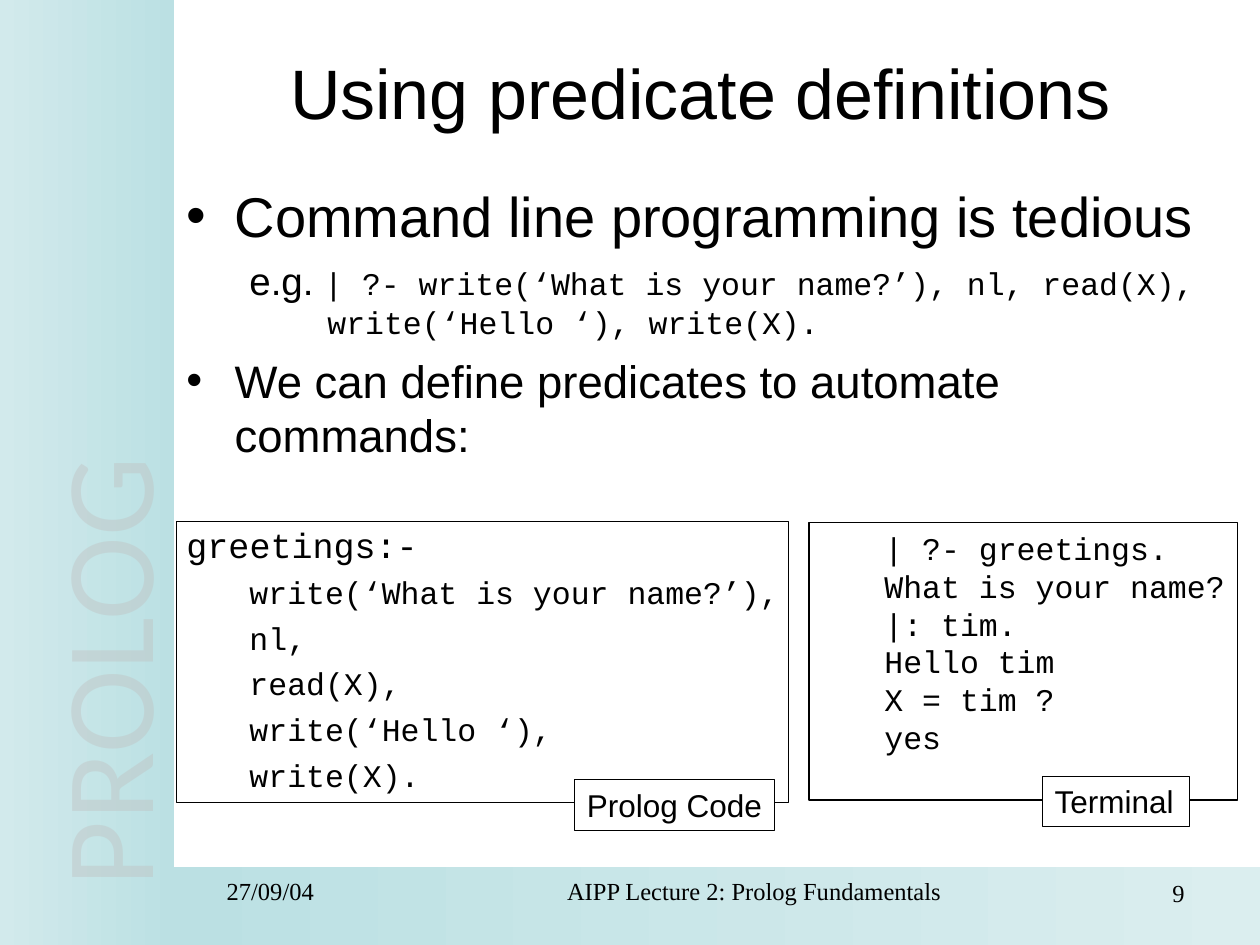
from dataclasses import dataclass

from lxml import etree
from pptx import Presentation
from pptx import util as u
from pptx.dml.color import RGBColor
from pptx.enum import shapes, text
from pptx.oxml.ns import qn


@dataclass(frozen=True)
class Theme:
    black: str = "000000"
    white: str = "FFFFFF"
    teal: str = "BBE0E3"
    side_light: str = "D2EAEC"
    foot_light: str = "DBEEEF"
    grey: str = "C0C0C0"
    sans: str = "Arial"
    mono: str = "Courier New"
    serif: str = "Times New Roman"
    banner: str = "Calibri"
    banner_size: int = 72
    title_size: int = 40
    head_size: int = 32
    point_size: int = 26
    lead_size: int = 22
    rule_size: int = 20
    code_size: int = 18
    foot_size: int = 14
    leading: float = 1.2


T = Theme()
ALIGN = text.PP_ALIGN


def place(box):
    return [u.Cm(v) for v in box]


def add_run(p, words, font, size, color=T.black):
    r = p.add_run()
    r.text = words
    r.font.name = font
    r.font.size = u.Pt(size)
    r.font.color.rgb = RGBColor.from_string(color)
    return r


def add_par(tf, runs, before=0, left=0, hang=0, bullet=False,
            align=ALIGN.LEFT, line=None):
    """Add a paragraph of (words, font, size) runs; indents are in cm."""
    p = tf.paragraphs[0]
    if p.runs:
        p = tf.add_paragraph()
    p.alignment = align
    p.space_before = u.Pt(before)
    p.line_spacing = u.Pt(line or round(runs[0][2] * T.leading, 1))
    pPr = p._p.get_or_add_pPr()
    pPr.set("marL", str(u.Cm(left)))
    pPr.set("indent", str(-u.Cm(hang)))
    if bullet:
        etree.SubElement(pPr, qn("a:buFont")).set("typeface", T.sans)
        etree.SubElement(pPr, qn("a:buChar")).set("char", "•")
    for run in runs:
        add_run(p, *run)
    return p


def add_text(s, box, wrap=True, anchor=text.MSO_ANCHOR.TOP):
    sp = s.shapes.add_textbox(*place(box))
    sp.text_frame.word_wrap = wrap
    sp.text_frame.vertical_anchor = anchor
    return sp


def add_rect(s, box):
    sp = s.shapes.add_shape(shapes.MSO_SHAPE.RECTANGLE, *place(box))
    sp.shadow.inherit = False
    return sp


def add_band(s, box, left_color, right_color):
    sp = add_rect(s, box)
    sp.line.fill.background()
    sp.fill.gradient()
    sp.fill.gradient_angle = 0
    for stop, color in zip(sp.fill.gradient_stops, (left_color, right_color)):
        stop.color.rgb = RGBColor.from_string(color)


def add_frame(s, box, lines=(), font=T.mono, left=0, fill=None):
    sp = add_rect(s, box)
    if fill:
        sp.fill.solid()
        sp.fill.fore_color.rgb = RGBColor.from_string(fill)
    else:
        sp.fill.background()
    sp.line.color.rgb = RGBColor.from_string(T.black)
    sp.line.width = u.Pt(0.75)
    tf = sp.text_frame
    tf.word_wrap = False
    tf.vertical_anchor = text.MSO_ANCHOR.TOP
    for words in lines:
        add_par(tf, [(words, font, T.code_size)], left=left)


def add_banner(s):
    sp = add_text(s, (-7.04, 8.05, 17.4, 2.72), wrap=False)
    sp.rotation = 270
    p = add_par(sp.text_frame, [("PROLOG", T.banner, T.banner_size)], line=90)
    color = p.runs[0].font.color
    color.rgb = RGBColor.from_string(T.grey)
    srgb = p._p.find(".//" + qn("a:srgbClr"))
    etree.SubElement(srgb, qn("a:alpha")).set("val", "42000")


def add_body(s):
    tf = add_text(s, (3.51, 3.53, 21.21, 13.92)).text_frame
    add_par(tf, [("Command line programming is tedious", T.sans, T.head_size)],
            left=0.97, hang=0.97, bullet=True)
    add_par(tf, [("e.g. ", T.sans, T.lead_size),
                 ("| ?- write(‘What is your name?’), nl, read(X), "
                  "write(‘Hello ‘), write(X).", T.mono, T.code_size)],
            before=9, left=2.84, hang=1.57, line=22)
    add_par(tf, [("We can define predicates to automate commands:",
                  T.sans, T.point_size)],
            before=6.5, left=0.97, hang=0.97, bullet=True)
    # Predicate definition
    add_par(tf, [("greetings:-", T.mono, T.rule_size)], before=35)
    for goal in ("write(‘What is your name?’),", "nl,", "read(X),",
                 "write(‘Hello ‘),", "write(X)."):
        add_par(tf, [(goal, T.mono, T.code_size)], before=4.5, left=1.27)


def add_footer(s, box, words, align):
    tf = add_text(s, box).text_frame
    add_par(tf, [(words, T.serif, T.foot_size)], left=0.61, align=align)


def main():
    prs = Presentation()
    prs.slide_width, prs.slide_height = u.Cm(25.4), u.Cm(19.05)
    s = prs.slides.add_slide(prs.slide_layouts[6])

    # Background bands and side banner
    add_band(s, (3.51, 17.48, 21.89, 1.57), T.teal, T.foot_light)
    add_band(s, (0, 0, 3.51, 19.05), T.side_light, T.teal)
    add_banner(s)

    # Title and body
    title = add_text(s, (3.51, 0.76, 21.21, 2.16),
                     anchor=text.MSO_ANCHOR.MIDDLE)
    add_par(title.text_frame,
            [("Using predicate definitions", T.sans, T.title_size)],
            align=ALIGN.CENTER)
    add_body(s)

    # Terminal session, code frame and their labels
    add_frame(s, (16.31, 10.54, 8.64, 5.59),
              ("| ?- greetings.", "What is your name?", "|: tim.",
               "Hello tim", "X = tim ?", "yes"), left=1.27)
    add_frame(s, (3.56, 10.52, 12.34, 5.66))
    add_frame(s, (11.58, 15.72, 4.04, 1.02), ["Prolog Code"], T.sans,
              fill=T.white)
    add_frame(s, (21.01, 15.65, 2.97, 1.02), ["Terminal"], T.sans,
              fill=T.white)

    # Footer
    add_footer(s, (8.69, 17.53, 12.42, 1.04),
               "AIPP Lecture 2: Prolog Fundamentals", ALIGN.CENTER)
    add_footer(s, (21.51, 17.58, 2.62, 0.94), "9", ALIGN.RIGHT)
    add_footer(s, (3.71, 17.53, 4.6, 1.14), "27/09/04", ALIGN.LEFT)

    prs.save("out.pptx")


if __name__ == "__main__":
    main()
